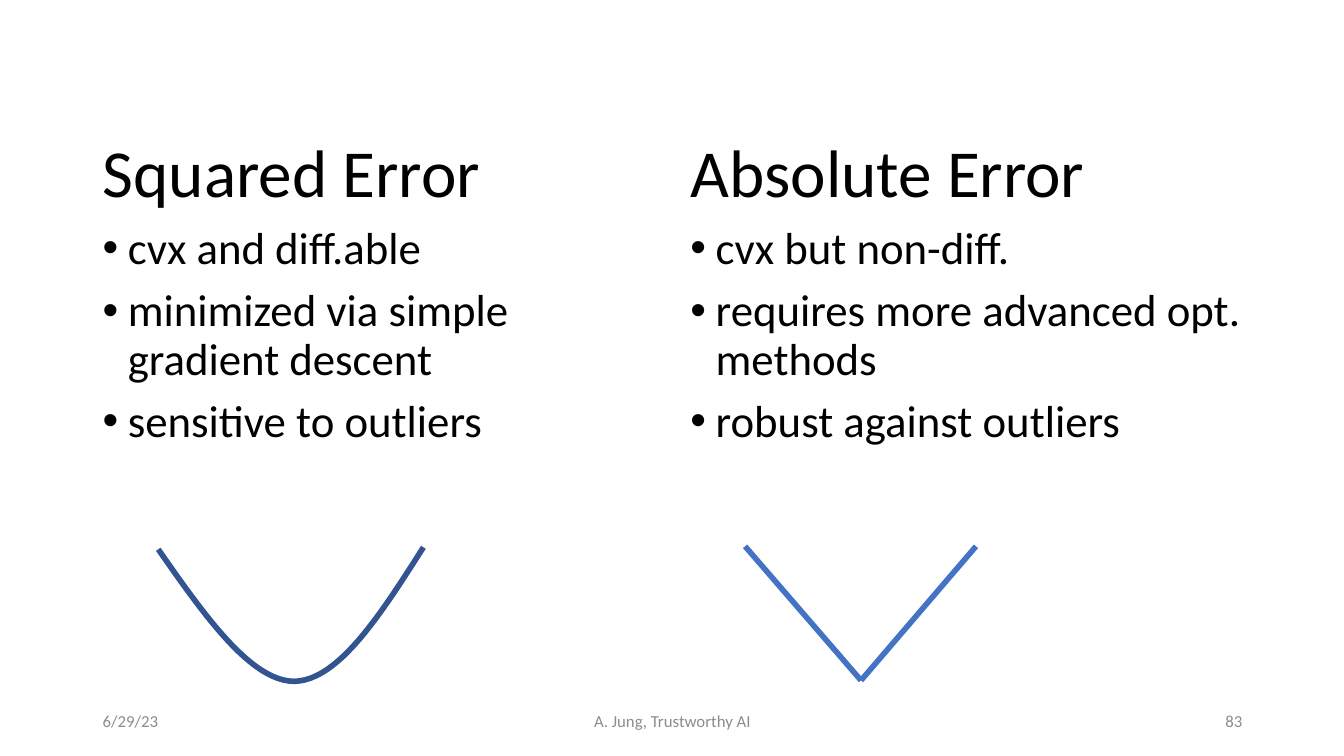
from lxml.etree import SubElement
from pptx import Presentation
from pptx.dml.color import RGBColor
from pptx.enum.shapes import MSO_CONNECTOR
from pptx.enum.text import MSO_ANCHOR, PP_ALIGN
from pptx.oxml.ns import qn
from pptx.util import Inches, Pt

FONT = "Calibri"
BLACK, GREY, BLUE, DARK_BLUE = "000000", "8C8C8C", "4472C4", "325491"
BODY_TOP = 1.33
FOOTER_TOP, FOOTER_HEIGHT = 6.95, 0.4


def rgb(value):
    return RGBColor.from_string(value)


def add_textbox(s, left, top, width, height, anchor=MSO_ANCHOR.TOP):
    tf = s.shapes.add_textbox(
        Inches(left), Inches(top), Inches(width), Inches(height)).text_frame
    tf.word_wrap = True
    tf.vertical_anchor = anchor
    return tf


def write(p, text, size, color=BLACK, align=PP_ALIGN.LEFT, before=0,
          spacing=1.0, bullet=False):
    p.alignment = align
    p.space_before = Pt(before)
    p.line_spacing = spacing
    r = p.add_run()
    r.text = text
    r.font.name = FONT
    r.font.size = Pt(size)
    r.font.color.rgb = rgb(color)
    if bullet:
        pPr = p._p.get_or_add_pPr()
        pPr.set("marL", str(Inches(0.25)))
        pPr.set("indent", str(Inches(-0.25)))
        SubElement(pPr, qn("a:buFont"), typeface="Arial")
        SubElement(pPr, qn("a:buChar"), char="•")


def add_column(s, left, width, height, heading, points):
    tf = add_textbox(s, left, BODY_TOP, width, height)
    write(tf.paragraphs[0], heading, 48, before=10, spacing=0.9)
    for point in points:
        write(tf.add_paragraph(), point, 32, before=10, spacing=0.9, bullet=True)


def add_footer(s, left, width, text, align):
    tf = add_textbox(s, left, FOOTER_TOP, width, FOOTER_HEIGHT, MSO_ANCHOR.MIDDLE)
    write(tf.paragraphs[0], text, 12, color=GREY, align=align)


def bezier(controls, steps=24):
    """Points in EMU along a cubic curve given by four control points."""
    points = []
    for i in range(steps + 1):
        t = i / steps
        weights = ((1 - t) ** 3, 3 * t * (1 - t) ** 2, 3 * t ** 2 * (1 - t), t ** 3)
        points.append(tuple(
            Inches(sum(w * c[axis] for w, c in zip(weights, controls)))
            for axis in (0, 1)))
    return points


def add_curve(s, segments, color, width):
    points = [pt for segment in segments for pt in bezier(segment)]
    builder = s.shapes.build_freeform(*points[0])
    builder.add_line_segments(points[1:], close=False)
    sp = builder.convert_to_shape()
    sp.shadow.inherit = False
    sp.fill.background()
    sp.line.color.rgb = rgb(color)
    sp.line.width = Pt(width)


def add_line(s, start, end, color, width):
    line = s.shapes.add_connector(
        MSO_CONNECTOR.STRAIGHT, *(Inches(v) for v in start + end))
    line.line.color.rgb = rgb(color)
    line.line.width = Pt(width)
    SubElement(line._element.spPr, qn("a:effectLst"))


def main():
    prs = Presentation()
    prs.slide_width, prs.slide_height = Inches(13.33), Inches(7.5)
    s = prs.slides.add_slide(prs.slide_layouts[6])

    # Comparison of the two losses
    add_column(s, 0.92, 5.67, 4.76, "Squared Error", [
        "cvx and diff.able",
        "minimized via simple gradient descent",
        "sensitive to outliers"])
    add_column(s, 6.75, 6.08, 5.1, "Absolute Error", [
        "cvx but non-diff.",
        "requires more advanced opt. methods",
        "robust against outliers"])

    # Footer
    add_footer(s, 4.42, 4.5, "A. Jung, Trustworthy AI", PP_ALIGN.CENTER)
    add_footer(s, 9.42, 3, "83", PP_ALIGN.RIGHT)
    add_footer(s, 0.92, 3, "6/29/23", PP_ALIGN.LEFT)

    # Parabola of the squared error
    bottom = (2.92, 6.76)
    add_curve(s, [
        [(1.57, 5.45), (2.03, 6.11), (2.49, 6.76), bottom],
        [bottom, (3.36, 6.75), (3.78, 6.09), (4.2, 5.43)]], DARK_BLUE, 4)

    # V shape of the absolute error
    for x in (7.39, 9.68):
        add_line(s, (x, 5.42), (8.54, 6.75), BLUE, 4)

    prs.save("out.pptx")


if __name__ == "__main__":
    main()
